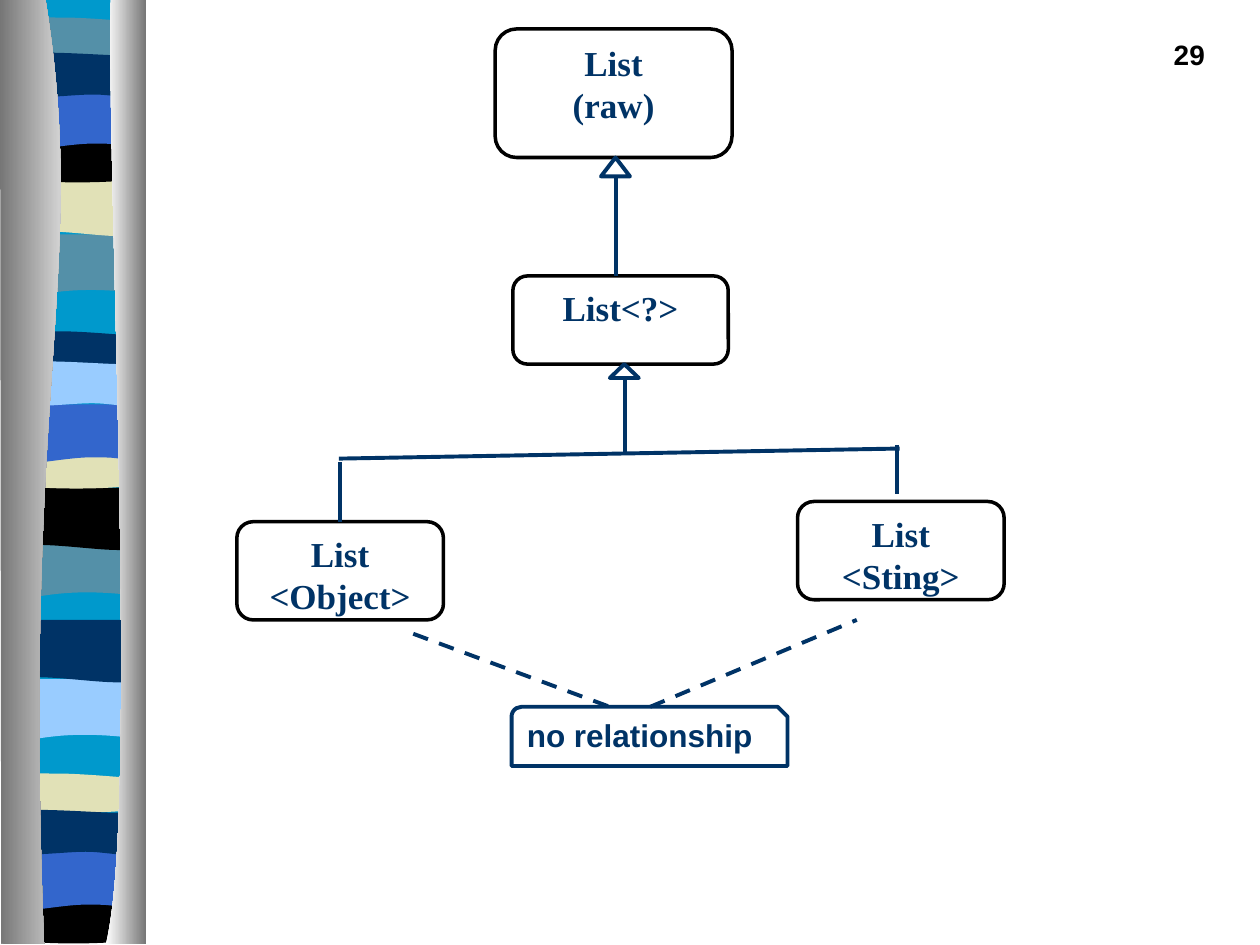
from lxml import etree
from pptx import Presentation
from pptx import util as u
from pptx.dml.color import RGBColor
from pptx.enum import dml, shapes, text
from pptx.oxml.ns import qn

PX = 9144  # 100 px to the inch
NAVY = RGBColor(0x00, 0x33, 0x66)
BLUE = RGBColor(0x33, 0x66, 0xCC)
CYAN = RGBColor(0x00, 0x99, 0xCC)
SKY = RGBColor(0x99, 0xCC, 0xFF)
TEAL = RGBColor(0x54, 0x90, 0xA8)
SAND = RGBColor(0xE1, 0xE1, 0xB7)
BLACK = RGBColor(0x00, 0x00, 0x00)
WHITE = RGBColor(0xFF, 0xFF, 0xFF)
GREY = RGBColor(0x76, 0x76, 0x76)

prs = Presentation()
prs.slide_width, prs.slide_height = 1000 * PX, 750 * PX
s = prs.slides.add_slide(prs.slide_layouts[6])
ribbon = s.shapes.add_group_shape()


def trace(x, y, start, *segments):
    """Closed outline; a segment is a line end (2 numbers) or a Bezier curve (6)."""
    fb = ribbon.shapes.build_freeform((x + start[0]) * PX, (y + start[1]) * PX, 1.0)
    for seg in segments:
        fb.add_line_segments([((x + a) * PX, (y + b) * PX)
                              for a, b in zip(seg[::2], seg[1::2])], close=False)
    fb.add_line_segments([], close=True)
    sp = fb.convert_to_shape()
    sp.shadow.inherit = False
    sp.line.fill.background()
    # Turn each run of three nodes that belongs to a curve into one Bezier segment
    nodes = iter(list(sp._element.iter(qn("a:lnTo"))))
    for seg in segments:
        node = next(nodes)
        if len(seg) == 6:
            node.tag = qn("a:cubicBezTo")
            for _ in range(2):
                extra = next(nodes)
                node.append(extra[0])
                extra.getparent().remove(extra)
    return sp


def write(sp, lines, size, font, color, align):
    tf = sp.text_frame
    tf.word_wrap = True
    tf.vertical_anchor = text.MSO_ANCHOR.TOP
    tf.margin_left = tf.margin_right = 10 * PX
    tf.margin_top = tf.margin_bottom = 5 * PX
    for i, line in enumerate(lines):
        p = tf.add_paragraph() if i else tf.paragraphs[0]
        p.alignment = align
        r = p.add_run()
        r.text = line
        r.font.size, r.font.name, r.font.bold = u.Pt(size), font, True
        r.font.color.rgb = color


# Ribbon: six band outlines repeated down a cyan strip
OUTLINES = {
    "flow": [(103, 0), (103, 47), (32, 38, 17, 54, 0, 47), (0, 0)],
    "sway": [(103, 0), (103, 47), (86, 55, 32, 41, 0, 47), (0, 0)],
    "cap": [(103, 5), (103, 29), (86, 33, 17, 33, 0, 29), (0, 5),
            (7, 0, 23, 1, 40, 1), (57, 1, 90, 4, 103, 5)],
    "dip": [(103, 0), (103, 33), (86, 38, 17, 38, 0, 33), (0, 0), (63, 5, 81, 0, 103, 0)],
    "arch": [(103, 0), (103, 48), (87, 42, 81, 42, 63, 42), (46, 42, 16, 48, 0, 48), (0, 0)],
    "swell": [(103, 5), (103, 36), (97, 41, 81, 36, 64, 36), (46, 36, 11, 41, 0, 36),
              (0, 5), (15, 0, 70, 5, 87, 5)],
}
BANDS = [
    ("flow", 10, 186, TEAL), ("sway", 12, 138, SAND), ("cap", 12, 13, TEAL),
    ("dip", 10, 108, BLACK), ("arch", 10, 72, BLUE), ("swell", 10, 39, NAVY),
    ("flow", 7, 426, TEAL), ("sway", 9, 387, BLACK), ("cap", 9, 262, NAVY),
    ("dip", 9, 351, SAND), ("arch", 9, 321, BLUE), ("swell", 9, 284, SKY),
    ("flow", 5, 539, SKY), ("sway", 8, 492, NAVY), ("cap", 7, 613, SAND),
    ("dip", 7, 712, BLACK), ("arch", 5, 676, BLUE), ("swell", 4, 640, NAVY),
]
strip = trace(10, -1, (103, 0), (103, 748), (0, 748), (0, 0))
strip.fill.solid()
strip.fill.fore_color.rgb = CYAN
for outline, x, y, color in BANDS:
    band = trace(x, y, *OUTLINES[outline])
    band.fill.solid()
    band.fill.fore_color.rgb = color

# Shaded edges on both sides of the ribbon
left_edge = trace(0, -1, (36, 0), (71, 217, 17, 297, 35, 750), (1, 750), (0, 0))
right_edge = trace(0, -1, (88, 0), (84, 126, 111, 647, 84, 750), (116, 750), (116, 1))
for edge, colors in ((left_edge, (GREY, WHITE)), (right_edge, (WHITE, GREY))):
    edge.fill.gradient()
    edge.fill.gradient_angle = 0
    for stop, color in zip(edge.fill.gradient_stops, colors):
        stop.color.rgb = color

# The ribbon belongs to the master, behind its placeholders
for props in ribbon._element.iter(qn("p:cNvPr")):
    props.set("id", str(int(props.get("id")) + 100))
prs.slide_master.shapes._spTree.insert(2, ribbon._element)

# Slide number
number = s.shapes.add_textbox(758 * PX, 25 * PX, 208 * PX, 50 * PX)
write(number, ["29"], 16, "Arial", BLACK, text.PP_ALIGN.RIGHT)

# Type boxes
boxes = {}
for name, x, y, w, h, lines in [
    ("raw", 393, 23, 188, 102, ["List", "(raw)"]),
    ("wildcard", 407, 219, 171, 70, ["List<?>"]),
    ("object", 188, 414, 164, 78, ["List", "<Object>"]),
    ("string", 633, 398, 164, 78, ["List", "<Sting>"]),
]:
    sp = s.shapes.add_shape(shapes.MSO_SHAPE.ROUNDED_RECTANGLE, x * PX, y * PX, w * PX, h * PX)
    sp.shadow.inherit = False
    sp.fill.solid()
    sp.fill.fore_color.rgb = WHITE
    sp.line.color.rgb, sp.line.width = BLACK, u.Pt(2)
    write(sp, lines, 20, "Times New Roman", NAVY, text.PP_ALIGN.CENTER)
    boxes[name] = sp

# Inheritance arrowheads and the note
TRIANGLE = shapes.MSO_SHAPE.ISOSCELES_TRIANGLE
NOTE = shapes.MSO_SHAPE.SNIP_ROUND_RECTANGLE
for kind, x, y, w, h in [(TRIANGLE, 477, 125, 23, 15), (TRIANGLE, 484, 289, 23, 11),
                         (NOTE, 406, 561, 219, 47)]:
    sp = s.shapes.add_shape(kind, x * PX, y * PX, w * PX, h * PX)
    sp.shadow.inherit = False
    sp.fill.background()
    sp.line.color.rgb, sp.line.width = NAVY, u.Pt(2.25)
    if kind == NOTE:
        write(sp, ["no relationship"], 18, "Arial", NAVY, text.PP_ALIGN.LEFT)

# Solid inheritance lines and dashed note lines
for x1, y1, x2, y2, dashed, target in [
    (489, 140, 489, 219, False, None),
    (496, 300, 496, 359, False, None),
    (269, 364, 714, 356, False, None),
    (270, 367, 270, 414, False, "object"),
    (712, 353, 712, 392, False, None),
    (328, 503, 484, 561, True, None),
    (516, 561, 680, 492, True, None),
]:
    line = s.shapes.add_connector(shapes.MSO_CONNECTOR.STRAIGHT,
                                  x1 * PX, y1 * PX, x2 * PX, y2 * PX)
    line.line.color.rgb, line.line.width = NAVY, u.Pt(2.25)
    if dashed:
        line.line.dash_style = dml.MSO_LINE.DASH
    if target:
        line.end_connect(boxes[target], 0)
    etree.SubElement(line._element.spPr, qn("a:effectLst"))

prs.save("out.pptx")
